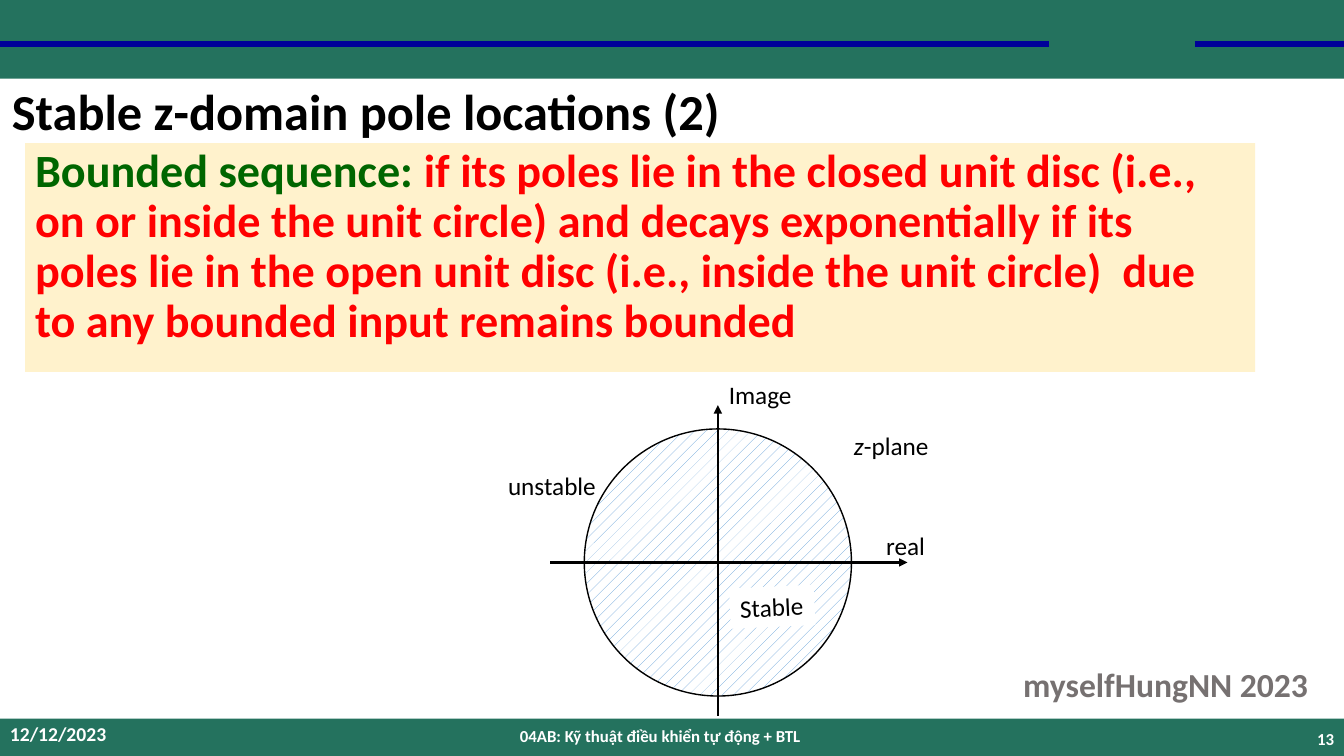
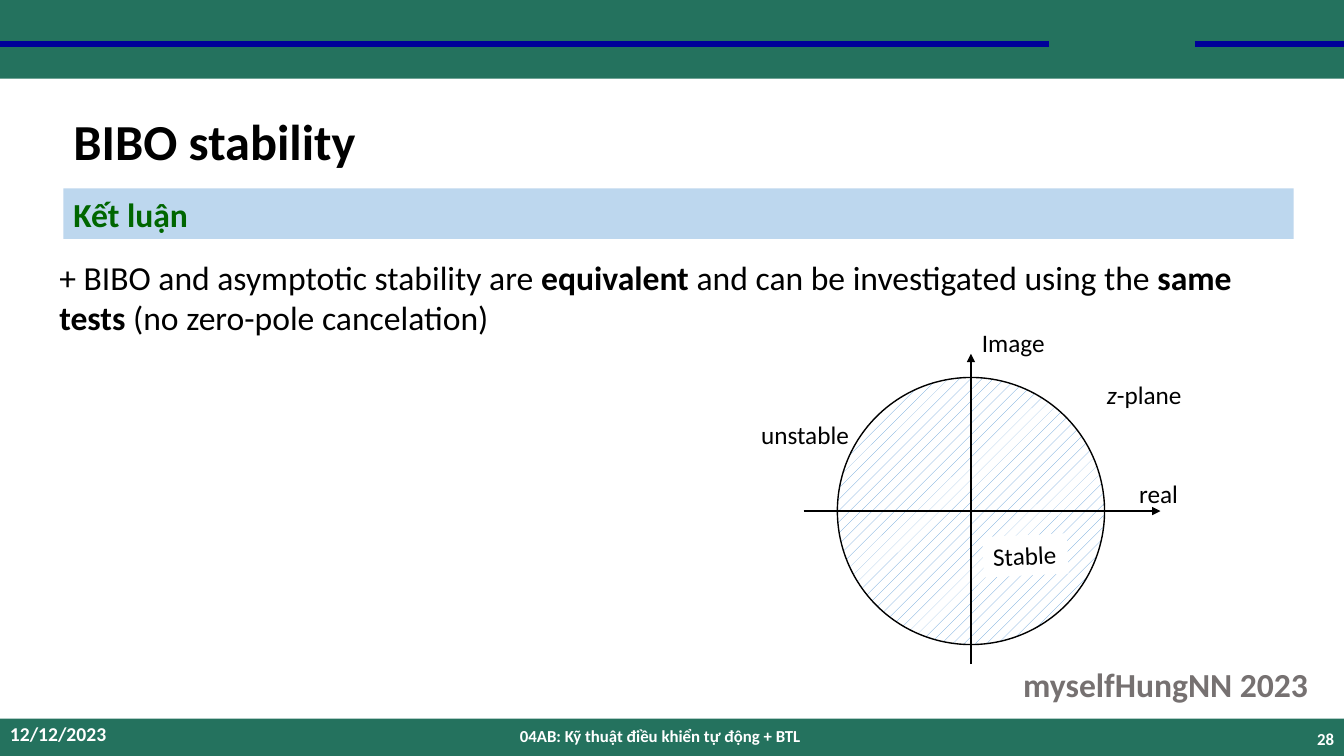
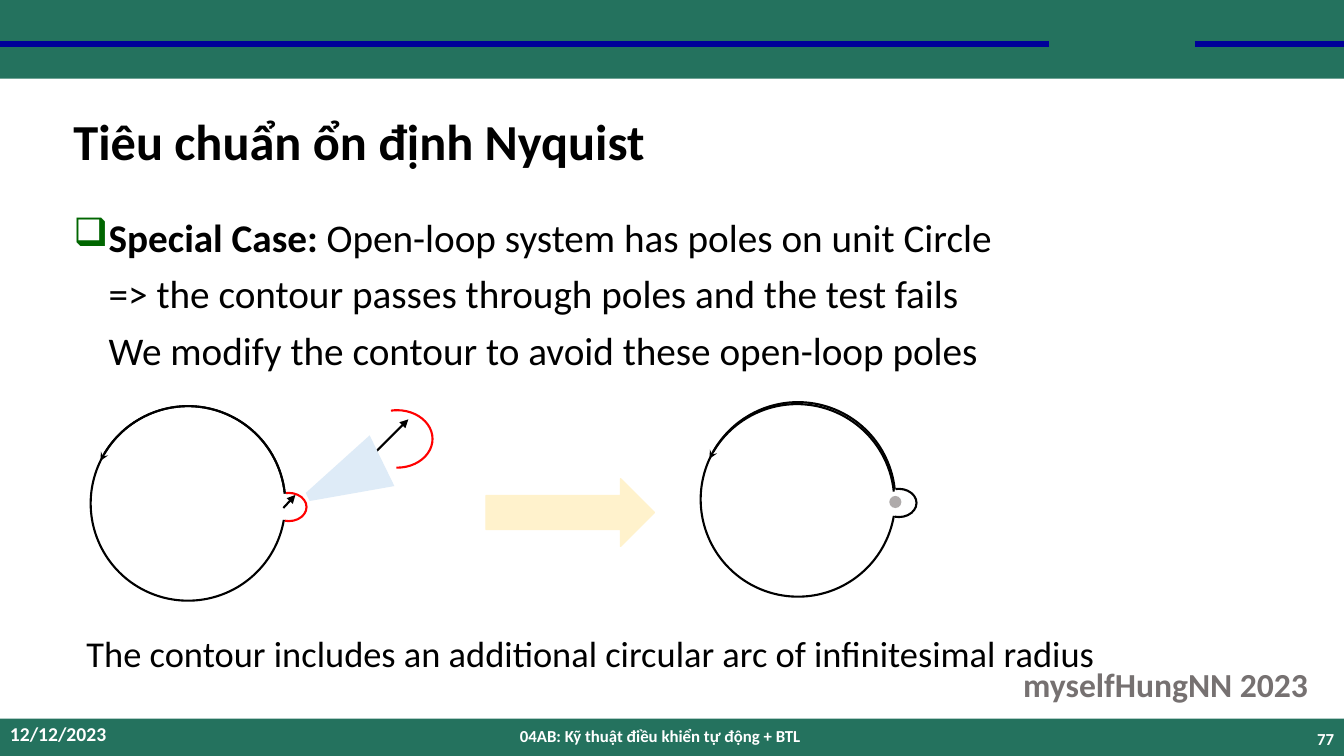
from dataclasses import dataclass

from lxml.etree import SubElement
from pptx import Presentation
from pptx.dml.color import RGBColor
from pptx.enum.dml import MSO_PATTERN
from pptx.enum.shapes import MSO_CONNECTOR, MSO_SHAPE
from pptx.enum.text import MSO_ANCHOR, MSO_AUTO_SIZE, PP_ALIGN
from pptx.oxml.ns import qn
from pptx.util import Inches, Pt

RECT, OVAL, ARC = MSO_SHAPE.RECTANGLE, MSO_SHAPE.OVAL, MSO_SHAPE.ARC
RIGHT_ARROW, TRAPEZOID = MSO_SHAPE.RIGHT_ARROW, MSO_SHAPE.TRAPEZOID
STRAIGHT = MSO_CONNECTOR.STRAIGHT
TOP, MIDDLE = MSO_ANCHOR.TOP, MSO_ANCHOR.MIDDLE
LEFT, CENTER, RIGHT = PP_ALIGN.LEFT, PP_ALIGN.CENTER, PP_ALIGN.RIGHT
FIT = MSO_AUTO_SIZE.SHAPE_TO_FIT_TEXT
DOTS = MSO_PATTERN.PERCENT_10


@dataclass(frozen=True)
class Theme:
    font: str = "Calibri"
    band: str = "24725E"
    rule: str = "000099"
    ink: str = "000000"
    white: str = "FFFFFF"
    signature: str = "767171"
    green: str = "006600"
    red: str = "FF0000"
    cream: str = "FFF2CC"
    sky: str = "BDD7EE"
    pale: str = "DEEBF7"
    hatch: str = "5B9BD5"
    pole: str = "AFABAB"
    title: int = 36
    statement: int = 33
    body: int = 28
    caption: int = 26
    text: int = 24
    label: int = 18
    date: int = 14
    footer: int = 12


T = Theme()
WIDTH, HEIGHT = 13.33, 7.5
TITLE_BOX = (0.63, 0.77, 12.2, 1.33)

BANDS = [(0, 0, WIDTH, 0.78), (0, 7.13, WIDTH, 0.37)]
RULES = [((0, 0.44), (10.4, 0.44)), ((11.85, 0.44), (WIDTH, 0.44))]
SIGNATURE = "myselfHungNN 2023"
DATE = "12/12/2023"
COURSE = "04AB: Kỹ thuật điều khiển tự động + BTL"

BOUNDED = [[
    ("Bounded sequence: ", {"color": T.green}),
    ("if its poles lie in the closed unit disc (i.e., on or inside the unit circle) "
     "and decays exponentially if its poles lie in the open unit disc (i.e., inside "
     "the unit circle)  due to any bounded input remains bounded", {}),
]]
EQUIVALENCE = [[
    ("+ BIBO and asymptotic stability are ", {}),
    ("equivalent", {"bold": True}),
    (" and can be investigated using the ", {}),
    ("same tests ", {"bold": True}),
    ("(no zero-pole cancelation)", {}),
]]
SPECIAL_CASE = [
    [("Special Case: ", {"bold": True}),
     ("Open-loop system has poles on unit Circle", {})],
    "=> the contour passes through poles and the test fails",
    "We modify the contour to avoid these open-loop poles",
]
CAPTION = "The contour includes an additional circular arc of infinitesimal radius"

DISC = 2.65
AXES = [((-1.66, 0), (1.88, 0)), ((0, 1.52), (0, -1.56))]
PLANE_LABELS = [
    ("Image", 0.01, -1.87, 0.83),
    ([[("z", {"italic": True}), ("-plane", {})]], 1.25, -1.36, 0.95),
    ("unstable", -2.18, -0.96, 1.08),
    ("real", 1.57, -0.37, 0.59),
]

CIRCLE = 1.93
CIRCLE_SPAN, UPPER_SPAN = (9.74, 354.18), (206.02, 354.18)
BUMP_SPAN, ZOOM_SPAN = (257.43, 106.14), (257.43, 91.84)


def rgb(code):
    return RGBColor.from_string(code)


def arrowhead(shape, end, kind):
    SubElement(shape.element.spPr.find(qn("a:ln")), qn(f"a:{end}"), type=kind)


def write(shape, content, size, color=T.ink, bold=False, align=LEFT, anchor=TOP,
          wrap=True, fit=False, spacing=None, before=None):
    tf = shape.text_frame
    tf.word_wrap = wrap
    tf.vertical_anchor = anchor
    if fit:
        tf.auto_size = FIT
    paragraphs = [content] if isinstance(content, str) else content
    for i, runs in enumerate(paragraphs):
        p = tf.add_paragraph() if i else tf.paragraphs[0]
        p.alignment = align
        if spacing:
            p.line_spacing = spacing
        if before:
            p.space_before = Pt(before)
        for text, style in [(runs, {})] if isinstance(runs, str) else runs:
            r = p.add_run()
            r.text = text
            r.font.name = T.font
            r.font.size = Pt(size)
            r.font.bold = style.get("bold", bold)
            r.font.italic = style.get("italic", False)
            r.font.color.rgb = rgb(style.get("color", color))
    return tf


def add_text(s, box, content, size, **style):
    return write(s.shapes.add_textbox(*map(Inches, box)), content, size, **style)


def add_shape(s, kind, box, fill=None, line=None, weight=1):
    sp = s.shapes.add_shape(kind, *map(Inches, box))
    sp.shadow.inherit = False
    if fill:
        sp.fill.solid()
        sp.fill.fore_color.rgb = rgb(fill)
    else:
        sp.fill.background()
    if line:
        sp.line.color.rgb = rgb(line)
        sp.line.width = Pt(weight)
    else:
        sp.line.fill.background()
    return sp


def add_line(s, start, end, color=T.ink, weight=1.5, arrow=True):
    line = s.shapes.add_connector(STRAIGHT, *map(Inches, (*start, *end)))
    line.line.color.rgb = rgb(color)
    line.line.width = Pt(weight)
    if arrow:
        arrowhead(line, "tailEnd", "triangle")
    SubElement(line.element.spPr, qn("a:effectLst"))


def add_arc(s, box, span, color=T.ink):
    arc = add_shape(s, ARC, box, line=color, weight=1.5)
    for i, degrees in enumerate(span):
        arc.adjustments[i] = degrees * 0.6
    return arc


def add_slide(prs, title, number, title_box=TITLE_BOX, title_anchor=MIDDLE):
    s = prs.slides.add_slide(prs.slide_layouts[6])
    for box in BANDS:
        add_shape(s, RECT, box, T.band)
    for start, end in RULES:
        add_line(s, start, end, T.rule, 4.5, arrow=False)
    add_text(s, (10.05, 6.54, 3.05, 0.5), SIGNATURE, T.text, color=T.signature,
             bold=True, wrap=False, fit=True)
    for box, text, size, align in [
        ((0, 7.1, 3, 0.36), DATE, T.date, LEFT),
        ((4.3, 7.1, 4.5, 0.4), COURSE, T.footer, CENTER),
        ((10.33, 7.13, 3, 0.4), str(number), T.footer, RIGHT),
    ]:
        add_text(s, box, text, size, color=T.white, bold=True, align=align, anchor=MIDDLE)
    add_text(s, title_box, title, T.title, bold=True, anchor=title_anchor, spacing=0.9)
    return s


def add_z_plane(s, cx, cy):
    disc = add_shape(s, OVAL, (cx - DISC / 2, cy - DISC / 2, DISC, DISC), line=T.ink)
    disc.fill.patterned()
    disc.fill.pattern = DOTS
    disc.fill.fore_color.rgb = rgb(T.hatch)
    disc.fill.back_color.rgb = rgb(T.white)
    stable = add_shape(s, RECT, (cx + 0.12, cy + 0.24, 0.84, 0.4), T.white)
    stable.rotation = 357.4
    write(stable, "Stable", T.label, wrap=False, fit=True)
    for text, dx, dy, width in PLANE_LABELS:
        add_text(s, (cx + dx, cy + dy, width, 0.4), text, T.label, wrap=False, fit=True)
    for (x1, y1), (x2, y2) in AXES:
        add_line(s, (cx + x1, cy + y1), (cx + x2, cy + y2), weight=1.75)


def add_contour(s, x, y, bump_color, dx=0, dy=0):
    add_arc(s, (x, y, CIRCLE, CIRCLE), CIRCLE_SPAN)
    add_arc(s, (x + 1.79, y + 0.86, 0.35, 0.28), BUMP_SPAN, bump_color)
    upper = add_arc(s, (x + dx, y + dy, CIRCLE, CIRCLE), UPPER_SPAN)
    arrowhead(upper, "headEnd", "stealth")


def pole_locations(prs):
    s = add_slide(prs, "Stable z-domain pole locations (2)", 13,
                  (0.02, 0.81, 12.2, 1.33), TOP)
    box = add_shape(s, RECT, (0.25, 1.42, 12.2, 2.27), T.cream)
    write(box, BOUNDED, T.statement, color=T.red, bold=True, spacing=0.9, before=10)
    add_z_plane(s, 7.12, 5.58)


def bibo_stability(prs):
    s = add_slide(prs, "BIBO stability", 28)
    heading = add_shape(s, RECT, (0.63, 1.87, 12.2, 0.5), T.sky)
    write(heading, "Kết luận", T.text, color=T.green, bold=True, fit=True)
    add_text(s, (0.49, 2.5, 12.33, 0.91), EQUIVALENCE, T.text, fit=True)
    add_z_plane(s, 9.63, 5.07)


def nyquist(prs):
    s = add_slide(prs, "Tiêu chuẩn ổn định Nyquist", 77)
    tf = add_text(s, (0.63, 2.12, 12.2, 1.76), SPECIAL_CASE, T.body,
                  spacing=0.9, before=10)
    indent = Inches(0.35)
    for i, p in enumerate(tf.paragraphs):
        pPr = p._p.get_or_add_pPr()
        pPr.set("marL", str(indent))
        pPr.set("indent", str(0 if i else -indent))
        if i == 0:
            SubElement(SubElement(pPr, qn("a:buClr")), qn("a:srgbClr"), val=T.green)
            SubElement(pPr, qn("a:buChar"), char="❑")
    add_text(s, (0.76, 6.21, 10.26, 0.54), CAPTION, T.caption, fit=True)
    add_shape(s, RIGHT_ARROW, (4.82, 4.75, 1.67, 0.67), T.cream, T.cream)

    add_contour(s, 0.9, 4.03, T.red)
    add_arc(s, (3.59, 4.07, 0.7, 0.57), ZOOM_SPAN, T.red)
    add_line(s, (3.73, 4.48), (4.05, 4.16))
    add_line(s, (2.81, 5.04), (2.93, 4.91))
    zoom = add_shape(s, TRAPEZOID, (3.14, 4.34, 0.56, 0.82), T.pale)
    zoom.adjustments[0] = 0.42
    zoom.rotation = 244

    add_contour(s, 6.95, 3.99, T.ink, -0.01, 0.02)
    add_shape(s, OVAL, (8.82, 4.92, 0.12, 0.12), T.pole)


def main():
    prs = Presentation()
    prs.slide_width, prs.slide_height = Inches(WIDTH), Inches(HEIGHT)
    for build in (pole_locations, bibo_stability, nyquist):
        build(prs)
    prs.save("out.pptx")


if __name__ == "__main__":
    main()
